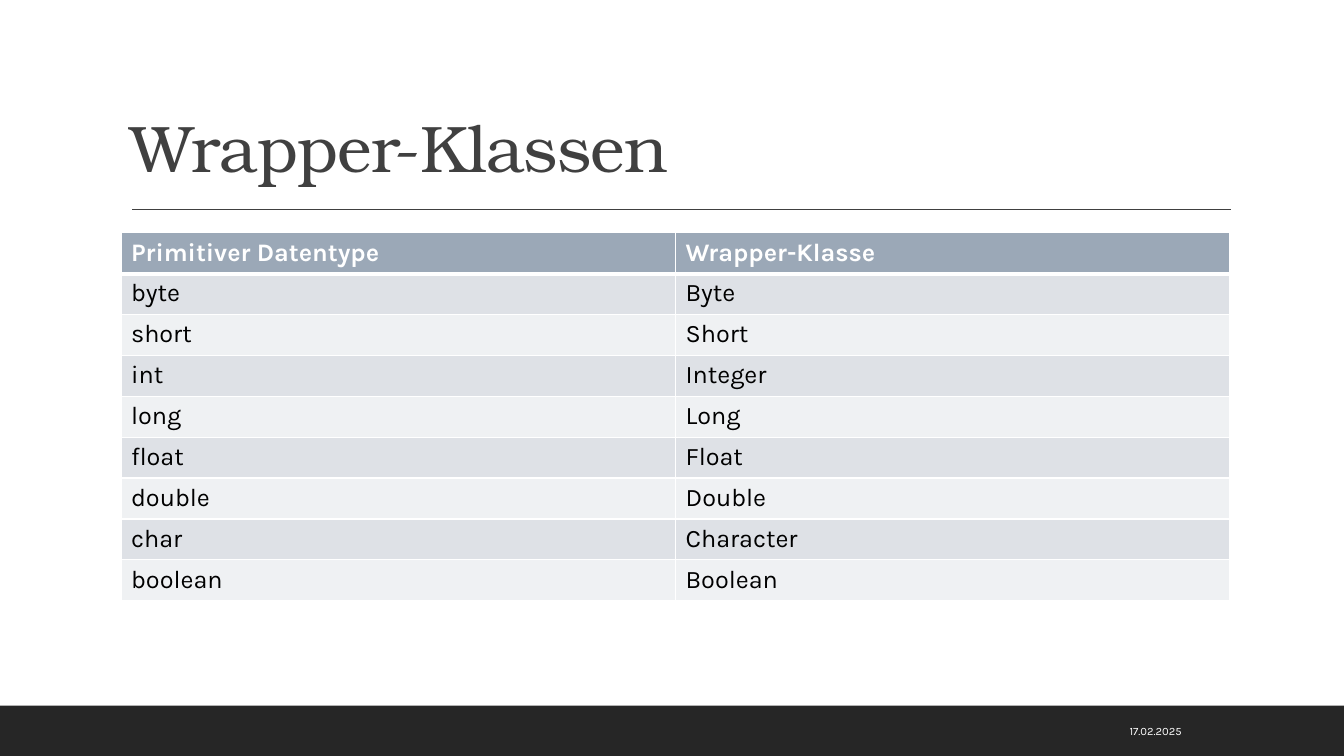
from lxml import etree
from pptx import Presentation
from pptx.dml.color import RGBColor
from pptx.enum.shapes import MSO_CONNECTOR, MSO_SHAPE
from pptx.enum.text import MSO_ANCHOR, PP_ALIGN
from pptx.oxml import parse_xml
from pptx.oxml.ns import nsdecls, qn
from pptx.util import Inches, Pt

STRAIGHT = MSO_CONNECTOR.STRAIGHT
RECTANGLE = MSO_SHAPE.RECTANGLE
BOTTOM, MIDDLE = MSO_ANCHOR.BOTTOM, MSO_ANCHOR.MIDDLE
LEFT, RIGHT = PP_ALIGN.LEFT, PP_ALIGN.RIGHT
TITLE_FONT, BODY_FONT = "TeX Gyre Bonum", "Karla"
ROWS = [
    ("Primitiver Datentype", "Wrapper-Klasse"),
    ("byte", "Byte"),
    ("short", "Short"),
    ("int", "Integer"),
    ("long", "Long"),
    ("float", "Float"),
    ("double", "Double"),
    ("char", "Character"),
    ("boolean", "Boolean"),
]


def color(value):
    return RGBColor.from_string(value)


def write(frame, text, font, size, ink, align=LEFT, bold=False):
    para = frame.paragraphs[0]
    para.alignment = align
    para.font.name = font
    para.font.size = Pt(size)
    para.font.bold = bold
    para.font.color.rgb = color(ink)
    span = para.add_run()
    span.text = text
    return span


deck = Presentation()
deck.slide_width = Inches(13.33)
deck.slide_height = Inches(7.5)
page = deck.slides.add_slide(deck.slide_layouts[6])

# Footer band
band = page.shapes.add_shape(RECTANGLE, 0, Inches(7), Inches(13.33), Inches(0.5))
band.shadow.inherit = False
band.fill.solid()
band.fill.fore_color.rgb = color("262626")
band.line.fill.background()

# Rule under the title
rule = page.shapes.add_connector(
    STRAIGHT, Inches(1.31), Inches(2.08), Inches(12.21), Inches(2.08))
rule.line.color.rgb = color("404040")
rule.line.width = Pt(1)
etree.SubElement(rule._element.spPr, qn("a:effectLst"))

# Title
title = page.shapes.add_textbox(Inches(1.2), Inches(0.31), Inches(11), Inches(1.59))
title.text_frame.word_wrap = True
title.text_frame.vertical_anchor = BOTTOM
heading = write(title.text_frame, "Wrapper-Klassen", TITLE_FONT, 47, "404040")
heading._r.get_or_add_rPr().set("spc", "-50")
title.text_frame.paragraphs[0].line_spacing = 0.9

# Table of primitive types and their wrapper classes
table = page.shapes.add_table(
    len(ROWS), 2, Inches(1.2), Inches(2.31), Inches(11), Inches(3.65)).table
for row_index, row in enumerate(ROWS):
    header = row_index == 0
    fill = "9BA8B7" if header else ("EFF1F3", "DEE1E6")[row_index % 2]
    # The line between header and body is thicker
    widths = {"L": 1, "R": 1, "T": 3 if row_index == 1 else 1, "B": 3 if header else 1}
    for column_index, text in enumerate(row):
        cell = table.cell(row_index, column_index)
        write(cell.text_frame, text, BODY_FONT, 18,
              "FFFFFF" if header else "000000", bold=header)
        for side, width in widths.items():
            cell._tc.get_or_add_tcPr().append(parse_xml(
                f'<a:ln{side} {nsdecls("a")} w="{Pt(width)}"><a:solidFill>'
                f'<a:srgbClr val="FFFFFF"/></a:solidFill></a:ln{side}>'))
        cell.fill.solid()
        cell.fill.fore_color.rgb = color(fill)

# Date
date = page.shapes.add_textbox(Inches(8.99), Inches(7.05), Inches(2.83), Inches(0.4))
date.text_frame.word_wrap = True
date.text_frame.vertical_anchor = MIDDLE
write(date.text_frame, "17.02.2025", BODY_FONT, 8, "FFFFFF", RIGHT)

deck.save("out.pptx")
